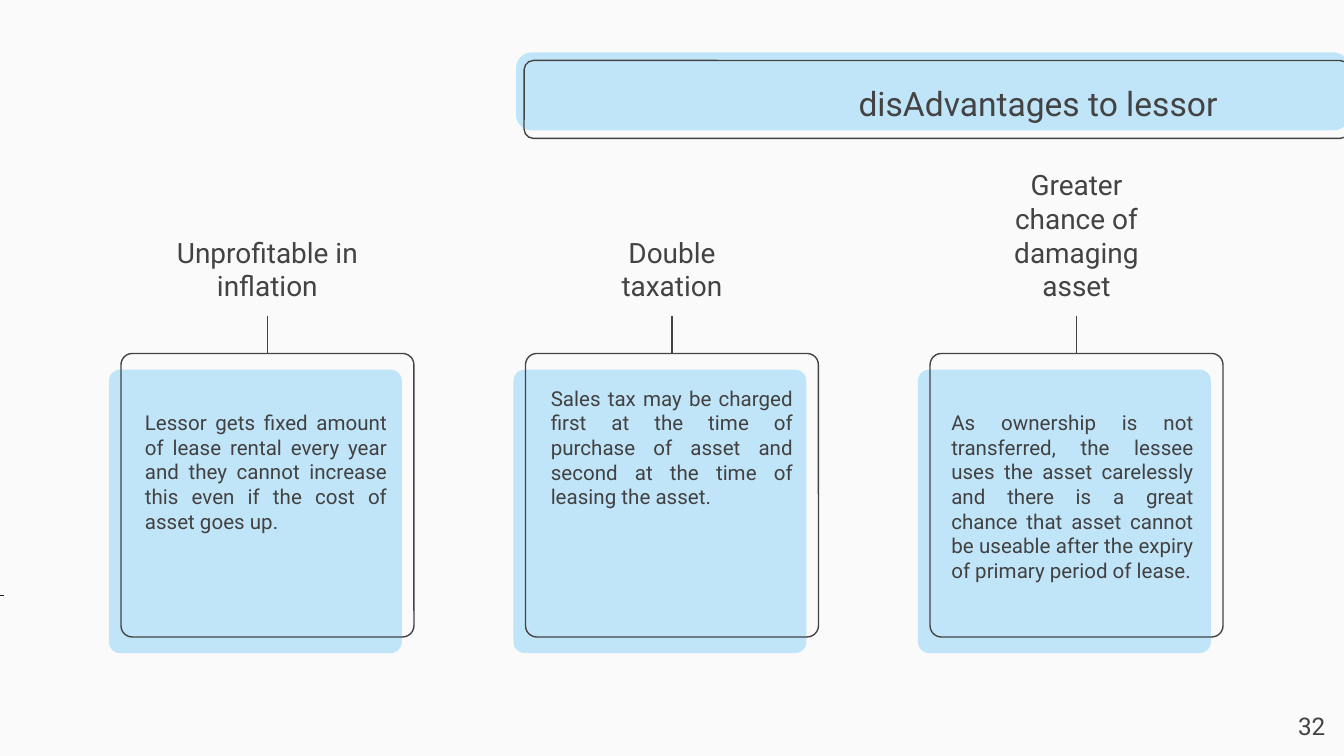
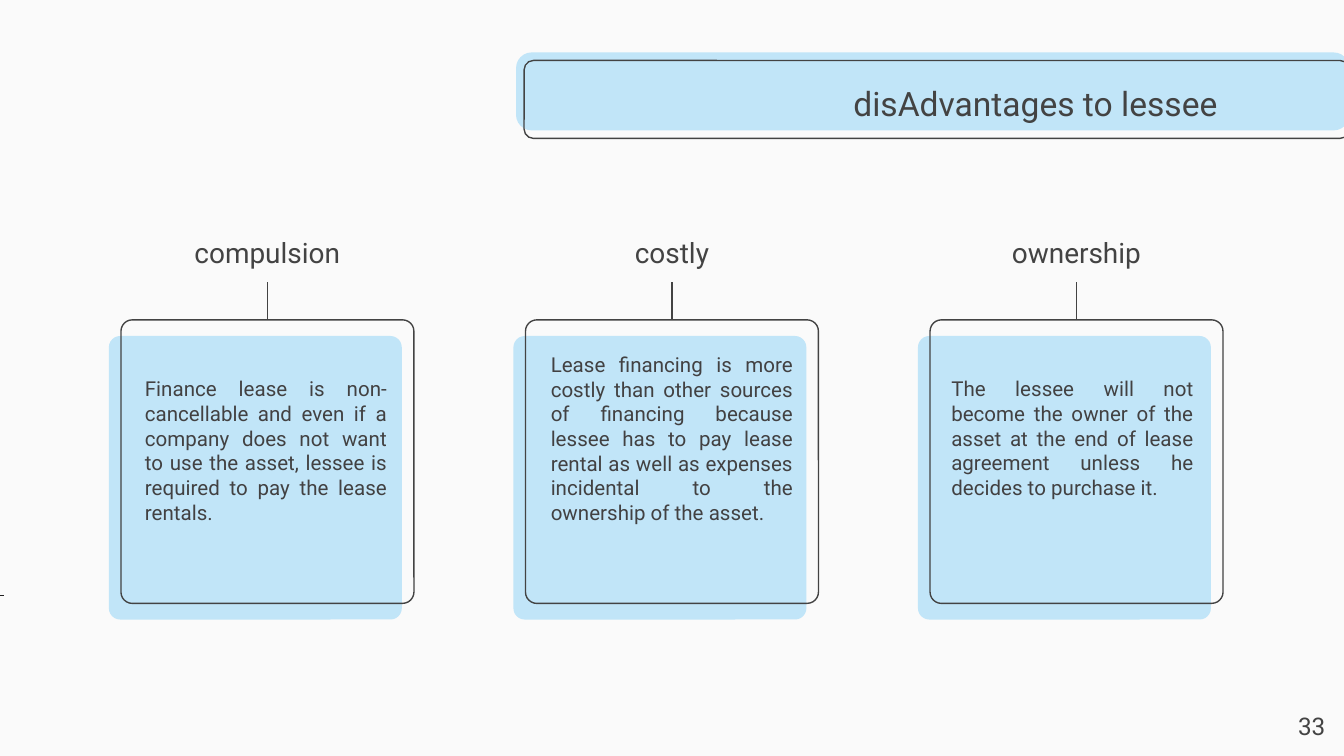
import pptx
import pptx.util
import pptx.dml.color
import pptx.enum.shapes
import pptx.enum.text
import pptx.oxml.ns
import lxml.etree

# Content: title, page number, downward shift of the cards, (heading, body) pairs
SLIDES = [
    ("disAdvantages to lessor", "32", 0.25, [
        ("Unprofitable in inflation",
         "Lessor gets fixed amount of lease rental every year and they cannot "
         "increase this even if the cost of asset goes up."),
        ("Double taxation",
         "Sales tax may be charged first at the time of purchase of asset and "
         "second at the time of leasing the asset."),
        ("Greater chance of damaging asset",
         "As ownership is not transferred, the lessee uses the asset carelessly "
         "and there is a great chance that asset cannot be useable after the "
         "expiry of primary period of lease."),
    ]),
    ("disAdvantages to lessee", "33", 0, [
        ("compulsion",
         "Finance lease is non-cancellable and even if a company does not want "
         "to use the asset, lessee is required to pay the lease rentals."),
        ("costly",
         "Lease financing is more costly than other sources of financing because "
         "lessee has to pay lease rental as well as expenses incidental to the "
         "ownership of the asset."),
        ("ownership",
         "The lessee will not become the owner of the asset at the end of lease "
         "agreement unless he decides to purchase it."),
    ]),
]

# Shared style
RGBColor = pptx.dml.color.RGBColor
PAPER = RGBColor(0xFA, 0xFA, 0xFA)
SKY = RGBColor(0xC1, 0xE5, 0xF8)
INK = RGBColor(0x43, 0x43, 0x43)
BODY_INK = RGBColor(0x42, 0x41, 0x42)
TICK_INK = RGBColor(0x1F, 0x1F, 0x1F)
FONT = "Roboto"
ALIGN = pptx.enum.text.PP_ALIGN
ANCHOR = pptx.enum.text.MSO_ANCHOR
Inches, Pt = pptx.util.Inches, pptx.util.Pt

# Widescreen slide and card grid, in inches
WIDTH = 10
HEIGHT = WIDTH * 9 / 16
FIRST_LEFT, COLUMN_STEP = 0.81, 3.01
CARD_TOP, CARD_WIDTH, CARD_HEIGHT = 2.5, 2.18, 2.11
FRAME_SHIFT_X, FRAME_SHIFT_Y = 0.09, -0.12
STEM_HEIGHT = 0.28
HEADING_WIDTH, HEADING_HEIGHT = 1.56, 0.87
BODY_WIDTH, BODY_HEIGHT = 2, 1.83
BODY_OFFSETS = [(0.17, 0.2), (0.18, 0.02), (0.15, 0.2)]


def add_round_box(slide, box, corner, fill=None, line=None):
    shape = slide.shapes.add_shape(
        pptx.enum.shapes.MSO_SHAPE.ROUNDED_RECTANGLE, *map(Inches, box))
    shape.adjustments[0] = corner
    shape.shadow.inherit = False
    if fill is None:
        shape.fill.background()
    else:
        shape.fill.solid()
        shape.fill.fore_color.rgb = fill
    if line is None:
        shape.line.fill.background()
    else:
        shape.line.color.rgb = line
        shape.line.width = Pt(0.75)


def add_line(slide, start, end, color=INK, width=0.75):
    line = slide.shapes.add_connector(
        pptx.enum.shapes.MSO_CONNECTOR.STRAIGHT, *map(Inches, start + end))
    line.line.color.rgb = color
    line.line.width = Pt(width)
    lxml.etree.SubElement(line.element.spPr, pptx.oxml.ns.qn("a:effectLst"))


def write(shape, text, size, align, anchor=ANCHOR.TOP, color=INK):
    frame = shape.text_frame
    frame.text = text
    frame.word_wrap = True
    frame.auto_size = pptx.enum.text.MSO_AUTO_SIZE.NONE
    frame.vertical_anchor = anchor
    frame.margin_left = frame.margin_right = Inches(0.1)
    frame.margin_top = frame.margin_bottom = Inches(0.1)
    paragraph = frame.paragraphs[0]
    paragraph.alignment = align
    font = paragraph.runs[0].font
    font.name, font.size, font.color.rgb = FONT, Pt(size), color


def add_text(slide, box, *style, **options):
    write(slide.shapes.add_textbox(*map(Inches, box)), *style, **options)


def add_title(slide, text):
    # Band behind the title, running off the right edge
    add_round_box(slide, (3.84, 0.39, 6.2, 0.58), 0.2, fill=SKY)
    add_round_box(slide, (3.9, 0.45, 6.14, 0.58), 0.12, line=INK)
    title = slide.shapes.title
    title.left, title.top, title.width, title.height = map(
        Inches, (5.67, 0.5, 3.49, 0.53))
    write(title, text, 18, ALIGN.RIGHT, ANCHOR.MIDDLE)
    title.element.getparent().append(title.element)  # bring in front of the band


def add_card(slide, column, shift, heading, body):
    left, top = FIRST_LEFT + column * COLUMN_STEP, CARD_TOP + shift
    frame_left, frame_top = left + FRAME_SHIFT_X, top + FRAME_SHIFT_Y
    center = frame_left + CARD_WIDTH / 2
    stem_top = frame_top - STEM_HEIGHT
    add_round_box(slide, (left, top, CARD_WIDTH, CARD_HEIGHT), 0.04, fill=SKY)
    add_round_box(slide, (frame_left, frame_top, CARD_WIDTH, CARD_HEIGHT),
                  0.04, line=INK)
    add_line(slide, (center, stem_top), (center, frame_top))
    add_text(slide, (center - HEADING_WIDTH / 2, stem_top - HEADING_HEIGHT,
                     HEADING_WIDTH, HEADING_HEIGHT),
             heading, 15, ALIGN.CENTER, ANCHOR.BOTTOM)
    offset_x, offset_y = BODY_OFFSETS[column]
    add_text(slide, (left + offset_x, top + offset_y, BODY_WIDTH, BODY_HEIGHT),
             body, 11, ALIGN.JUSTIFY, color=BODY_INK)


presentation = pptx.Presentation()
presentation.slide_width, presentation.slide_height = Inches(WIDTH), Inches(HEIGHT)
background = presentation.slide_master.background.fill
background.solid()
background.fore_color.rgb = PAPER
title_only = presentation.slide_layouts[5]

for title, number, shift, cards in SLIDES:
    slide = presentation.slides.add_slide(title_only)
    add_title(slide, title)
    for column, (heading, body) in enumerate(cards):
        add_card(slide, column, shift, heading, body)
    # Edge tick and page number
    add_line(slide, (0, 4.43), (0.03, 4.43), TICK_INK, 0.3)
    add_text(slide, (9.36, 5.19, 0.6, 0.43), number, 13, ALIGN.RIGHT)

presentation.save("out.pptx")
